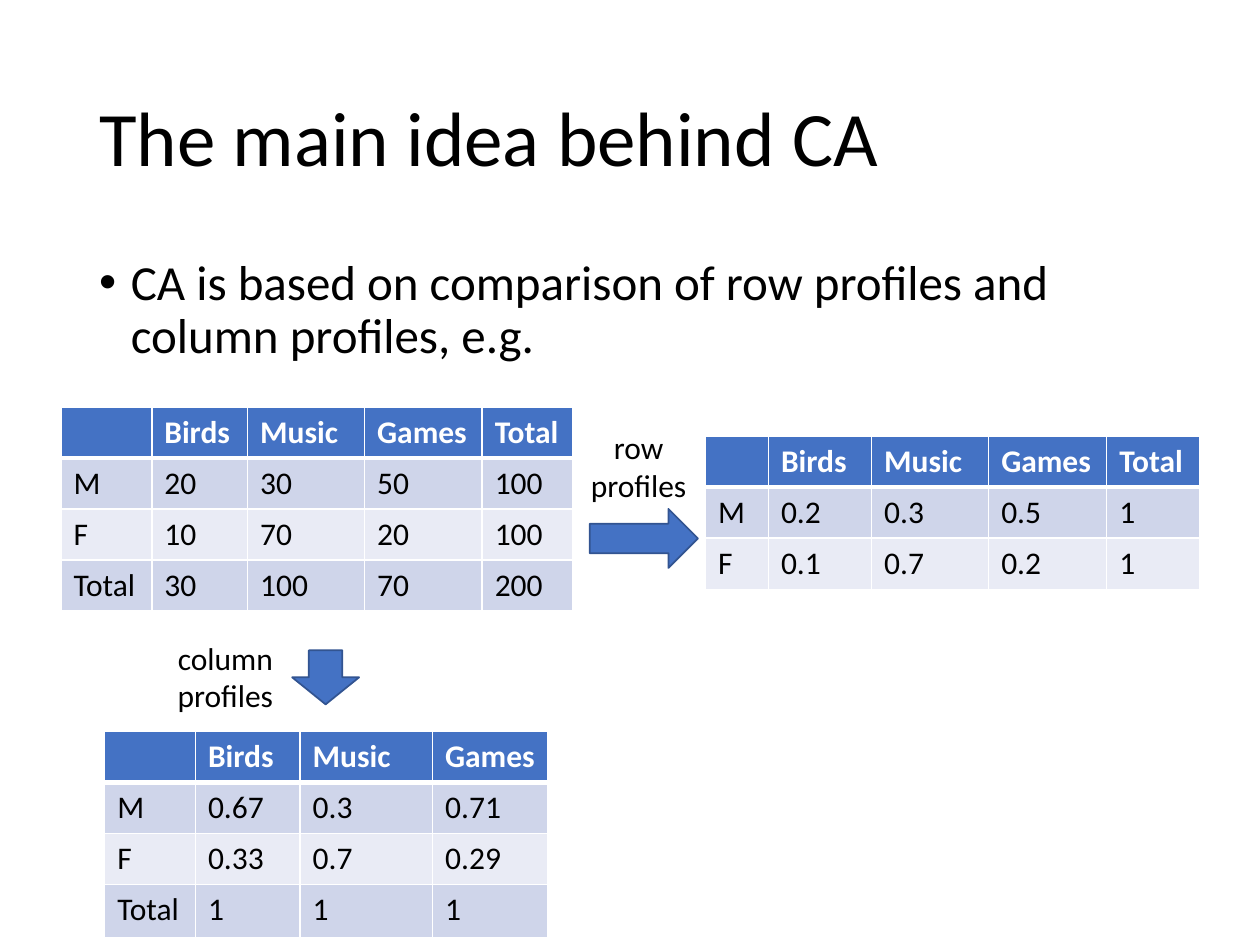
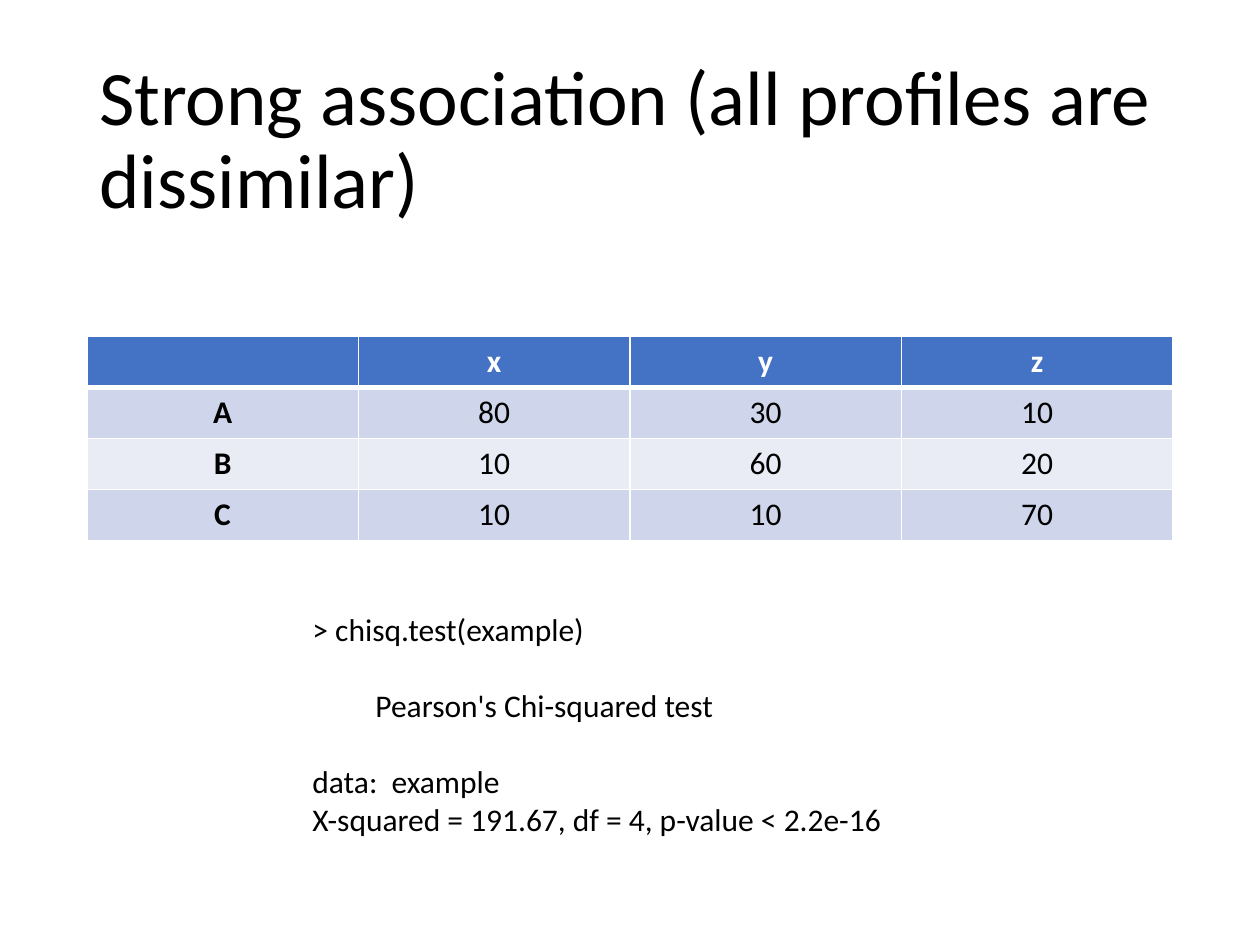
"""Builds two slides on correspondence analysis: row and column profiles, and a strong association."""
from dataclasses import dataclass

from lxml.etree import SubElement
from pptx import Presentation
from pptx.dml.color import RGBColor
from pptx.enum.shapes import MSO_SHAPE
from pptx.enum.text import MSO_ANCHOR, PP_ALIGN
from pptx.oxml.ns import qn
from pptx.util import Cm, Pt


@dataclass(frozen=True)
class Theme:
    font: str = "Calibri"
    text: str = "000000"
    white: str = "FFFFFF"
    accent: str = "4472C4"
    accent_line: str = "325491"
    bands: tuple = ("CFD5EA", "E9EBF5")
    title_size: int = 44
    body_size: int = 28
    small_size: int = 18
    thin_border: int = 1
    header_border: int = 3
    row_height: float = 1.03
    margin: float = 1.75
    content_width: float = 21.9


THEME = Theme()

PROFILES_TITLE = "The main idea behind CA"
PROFILES_BULLET = "CA is based on comparison of row profiles and column profiles, e.g."
PROFILE_TABLES = [
    {
        "position": (1.23, 8.2),
        "columns": (1.83, 1.93, 2.36, 2.37, 1.82),
        "rows": [
            ("", "Birds", "Music", "Games", "Total"),
            ("M", "20", "30", "50", "100"),
            ("F", "10", "70", "20", "100"),
            ("Total", "30", "100", "70", "200"),
        ],
    },
    {
        "position": (14.22, 8.79),
        "columns": (1.27, 2.08, 2.36, 2.38, 1.87),
        "rows": [
            ("", "Birds", "Music", "Games", "Total"),
            ("M", "0.2", "0.3", "0.5", "1"),
            ("F", "0.1", "0.7", "0.2", "1"),
        ],
    },
    {
        "position": (2.11, 14.74),
        "columns": (1.83, 2.11, 2.67, 2.33),
        "last_row_height": 1.08,
        "rows": [
            ("", "Birds", "Music", "Games"),
            ("M", "0.67", "0.3", "0.71"),
            ("F", "0.33", "0.7", "0.29"),
            ("Total", "1", "1", "1"),
        ],
    },
]
PROFILE_STEPS = [
    ("row profiles", (11.53, 8.51, 2.69, 1.8), MSO_SHAPE.RIGHT_ARROW, (11.89, 10.26, 2.18, 1.19)),
    ("column profiles", (3.2, 12.75, 2.69, 1.8), MSO_SHAPE.DOWN_ARROW, (5.89, 13.11, 1.35, 1.09)),
]

ASSOCIATION_TITLE = "Strong association (all profiles are dissimilar)"
ASSOCIATION_TABLE = {
    "position": (THEME.margin, 6.78),
    "columns": (THEME.content_width / 4,) * 4,
    "centered": True,
    "rows": [
        ("", "x", "y", "z"),
        ("A", "80", "30", "10"),
        ("B", "10", "60", "20"),
        ("C", "10", "10", "70"),
    ],
}
LINE_GAP = 22
TEST_OUTPUT = [
    ("> chisq.test(example)", 0, 0),
    ("Pearson's Chi-squared test", LINE_GAP, 1.27),
    ("data:  example", LINE_GAP, 0),
    ("X-squared = 191.67, df = 4, p-value < 2.2e-16", 0, 0),
]


def color(value):
    return RGBColor.from_string(value)


def write(paragraph, text, size=THEME.small_size, ink=THEME.text, bold=False):
    paragraph.text = text
    for run in paragraph.runs:
        run.font.name = THEME.font
        run.font.size = Pt(size)
        run.font.bold = bold
        run.font.color.rgb = color(ink)


def add_text_frame(slide, box):
    text_frame = slide.shapes.add_textbox(*map(Cm, box)).text_frame
    text_frame.word_wrap = True
    return text_frame


def add_slide(presentation, title):
    slide = presentation.slides.add_slide(presentation.slide_layouts[6])
    text_frame = add_text_frame(slide, (THEME.margin, 1.02, THEME.content_width, 3.68))
    text_frame.vertical_anchor = MSO_ANCHOR.MIDDLE
    paragraph = text_frame.paragraphs[0]
    paragraph.line_spacing = 0.9
    write(paragraph, title, THEME.title_size)
    return slide


def add_bullet(slide, text):
    text_frame = add_text_frame(slide, (THEME.margin, 5.08, THEME.content_width, 12.09))
    paragraph = text_frame.paragraphs[0]
    paragraph.line_spacing = 0.9
    paragraph.space_before = Pt(10)
    write(paragraph, text, THEME.body_size)
    indent_paragraph(paragraph, 0.64, -0.64)
    properties = paragraph._p.get_or_add_pPr()
    SubElement(properties, qn("a:buFont"), typeface="Arial")
    SubElement(properties, qn("a:buChar"), char="•")


def indent_paragraph(paragraph, left, first_line=0):
    properties = paragraph._p.get_or_add_pPr()
    properties.set("marL", str(Cm(left)))
    properties.set("indent", str(Cm(first_line)))


def set_borders(cell, row_index):
    properties = cell._tc.get_or_add_tcPr()
    for side in ("L", "R", "T", "B"):
        under_header = (row_index, side) in ((0, "B"), (1, "T"))
        width = THEME.header_border if under_header else THEME.thin_border
        line = SubElement(properties, qn(f"a:ln{side}"), w=str(Pt(width)))
        SubElement(SubElement(line, qn("a:solidFill")), qn("a:srgbClr"), val=THEME.white)


def add_profile_table(slide, content):
    rows, columns = content["rows"], content["columns"]
    centered = content.get("centered", False)
    heights = [THEME.row_height] * len(rows)
    heights[-1] = content.get("last_row_height", THEME.row_height)
    size = (sum(columns), sum(heights))
    frame = slide.shapes.add_table(len(rows), len(columns), *map(Cm, content["position"] + size))
    table = frame.table
    for column, width in zip(table.columns, columns):
        column.width = Cm(width)
    for row_index, (row, height, values) in enumerate(zip(table.rows, heights, rows)):
        row.height = Cm(height)
        header = row_index == 0
        fill = THEME.accent if header else THEME.bands[(row_index - 1) % 2]
        for column_index, (cell, value) in enumerate(zip(row.cells, values)):
            set_borders(cell, row_index)
            cell.fill.solid()
            cell.fill.fore_color.rgb = color(fill)
            paragraph = cell.text_frame.paragraphs[0]
            write(
                paragraph,
                value,
                ink=THEME.white if header else THEME.text,
                bold=header or (centered and column_index == 0),
            )
            if centered:
                cell.vertical_anchor = MSO_ANCHOR.MIDDLE
                paragraph.alignment = PP_ALIGN.CENTER


def add_step(slide, label, label_box, arrow_kind, arrow_box):
    paragraph = add_text_frame(slide, label_box).paragraphs[0]
    paragraph.alignment = PP_ALIGN.CENTER
    write(paragraph, label)
    arrow = slide.shapes.add_shape(arrow_kind, *map(Cm, arrow_box))
    arrow.shadow.inherit = False
    arrow.fill.solid()
    arrow.fill.fore_color.rgb = color(THEME.accent)
    arrow.line.color.rgb = color(THEME.accent_line)
    arrow.line.width = Pt(1)


def add_test_output(slide, lines):
    text_frame = add_text_frame(slide, (6.05, 12.17, 12.7, 4.88))
    for index, (text, gap, left) in enumerate(lines):
        paragraph = text_frame.add_paragraph() if index else text_frame.paragraphs[0]
        paragraph.space_before = Pt(gap)
        write(paragraph, text)
        indent_paragraph(paragraph, left)


def main():
    presentation = Presentation()
    presentation.slide_width = Cm(25.4)
    presentation.slide_height = Cm(19.05)

    profiles = add_slide(presentation, PROFILES_TITLE)
    add_bullet(profiles, PROFILES_BULLET)
    for content in PROFILE_TABLES:
        add_profile_table(profiles, content)
    for step in PROFILE_STEPS:
        add_step(profiles, *step)

    association = add_slide(presentation, ASSOCIATION_TITLE)
    add_profile_table(association, ASSOCIATION_TABLE)
    add_test_output(association, TEST_OUTPUT)

    presentation.save("out.pptx")


main()
